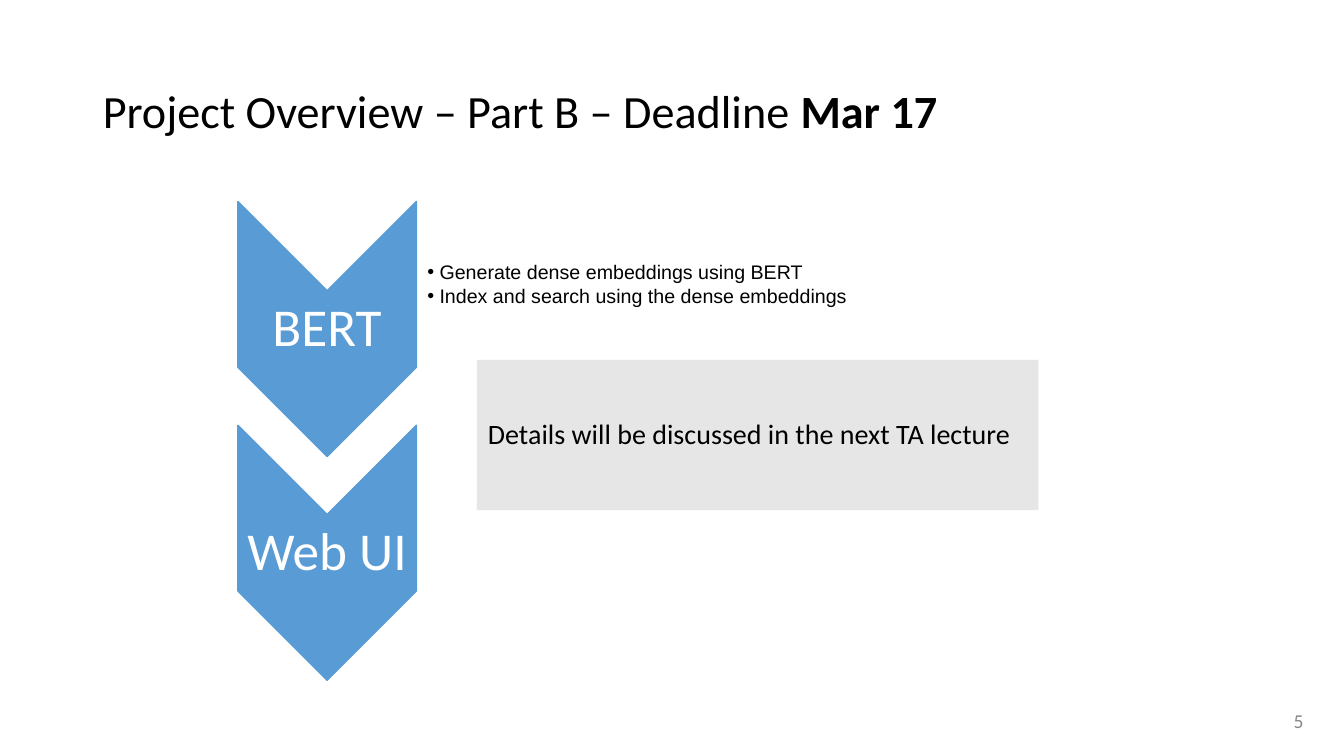
import dataclasses

import lxml.etree
import pptx
import pptx.dml.color
import pptx.enum.shapes
import pptx.enum.text
import pptx.oxml.ns
import pptx.util

ALIGN = pptx.enum.text.PP_ALIGN
BLACK, WHITE, BLUE, PALE_GRAY, GRAY = "000000", "FFFFFF", "599BD5", "E7E6E6", "888888"
SLIDE_WIDTH = pptx.util.Inches(13.33)
SLIDE_HEIGHT = pptx.util.Inches(7.5)
STAGE_STEP = 29.6
BULLET_INDENT = pptx.util.Inches(0.12)
TIGHT_MARGINS = (0.11, 0.01, 0.01, 0.01)
LABEL_MARGINS = (0.03, 0.03, 0.03, 0.03)


@dataclasses.dataclass(frozen=True)
class Frame:
    """A rectangle in percent of the slide's width and height."""
    left: float
    top: float
    width: float
    height: float

    def lengths(self) -> tuple[int, int, int, int]:
        return (round(SLIDE_WIDTH * self.left / 100), round(SLIDE_HEIGHT * self.top / 100),
                round(SLIDE_WIDTH * self.width / 100), round(SLIDE_HEIGHT * self.height / 100))

    def moved_down(self, distance: float) -> "Frame":
        return dataclasses.replace(self, top=self.top + distance)

    def centred(self, width: float, height: float) -> "Frame":
        return Frame(self.left + (self.width - width) / 2,
                     self.top + (self.height - height) / 2, width, height)


@dataclasses.dataclass(frozen=True)
class Run:
    text: str
    bold: bool = False


TITLE_FRAME = Frame(6.9, 5.33, 86.27, 19.33)
NUMBER_FRAME = Frame(75.24, 92.67, 22.5, 5.33)
CHEVRON_FRAME = Frame(14.85, 31.73, 18.98, 23.6)
TASKS_FRAME = Frame(30.98, 27.73, 50.79, 19.87)
NOTE_FRAME = Frame(35.48, 47.6, 41.79, 19.87)

TITLE = [Run("Project Overview – Part B – Deadline "), Run("Mar 17", bold=True)]
STAGES = ["BERT", "Web UI"]
TASKS = ["Generate dense embeddings using BERT",
         "Index and search using the dense embeddings"]
NOTE = "Details will be discussed in the next TA lecture"


def colour(hex_value: str) -> pptx.dml.color.RGBColor:
    return pptx.dml.color.RGBColor.from_string(hex_value)


def place(shape, frame: Frame) -> None:
    shape.left, shape.top, shape.width, shape.height = frame.lengths()


def add_bullet(paragraph) -> None:
    properties = paragraph._p.get_or_add_pPr()
    properties.set("marL", str(BULLET_INDENT))
    properties.set("indent", str(-BULLET_INDENT))
    for tag, name, value in (("a:buFont", "typeface", "Arial"), ("a:buChar", "char", "•")):
        element = lxml.etree.SubElement(properties, pptx.oxml.ns.qn(tag))
        element.set(name, value)


def write_text(shape, paragraphs: list[list[Run]], *, size: float, font: str = "Calibri",
               text_colour: str = BLACK, align=ALIGN.LEFT, line_spacing: float = 0.9,
               space_before: float = 0, bulleted: bool = False,
               margins: tuple[float, ...] = (0.1, 0.05, 0.1, 0.05)) -> None:
    """Fill the shape; space_before applies from the second paragraph on."""
    text_frame = shape.text_frame
    text_frame.word_wrap = True
    text_frame.auto_size = pptx.enum.text.MSO_AUTO_SIZE.NONE
    text_frame.vertical_anchor = pptx.enum.text.MSO_ANCHOR.MIDDLE
    (text_frame.margin_left, text_frame.margin_top, text_frame.margin_right,
     text_frame.margin_bottom) = map(pptx.util.Inches, margins)
    for index, runs in enumerate(paragraphs):
        paragraph = text_frame.add_paragraph() if index else text_frame.paragraphs[0]
        if bulleted:
            add_bullet(paragraph)
        paragraph.alignment = align
        paragraph.line_spacing = line_spacing
        paragraph.space_before = pptx.util.Pt(space_before if index else 0)
        for part in runs:
            run = paragraph.add_run()
            run.text = part.text
            run.font.name = font
            run.font.size = pptx.util.Pt(size)
            run.font.bold = part.bold
            run.font.color.rgb = colour(text_colour)


def add_filled_shape(slide, kind, frame: Frame, fill: str):
    shape = slide.shapes.add_shape(kind, *frame.lengths())
    shape.shadow.inherit = False
    shape.fill.solid()
    shape.fill.fore_color.rgb = colour(fill)
    shape.line.fill.background()
    return shape


def add_stage(slide, name: str, frame: Frame) -> None:
    """Draw a downward chevron with its label upright over the middle."""
    chevron = add_filled_shape(slide, pptx.enum.shapes.MSO_SHAPE.CHEVRON, frame, BLUE)
    chevron.rotation = 90
    chevron.line.color.rgb = colour(BLUE)
    chevron.line.width = pptx.util.Pt(1)
    label = slide.shapes.add_textbox(*frame.centred(13.28, 10.13).lengths())
    write_text(label, [[Run(name)]], size=38, text_colour=WHITE, align=ALIGN.CENTER,
               margins=LABEL_MARGINS)


def main() -> None:
    presentation = pptx.Presentation()
    presentation.slide_width = SLIDE_WIDTH
    presentation.slide_height = SLIDE_HEIGHT
    slide = presentation.slides.add_slide(presentation.slide_layouts[1])

    title, tasks = slide.placeholders
    place(title, TITLE_FRAME)
    write_text(title, [TITLE], size=33)
    place(tasks, TASKS_FRAME)
    write_text(tasks, [[Run(task)] for task in TASKS], size=14, font="Arial",
               space_before=2.1, bulleted=True, margins=TIGHT_MARGINS)

    for index, stage in enumerate(STAGES):
        add_stage(slide, stage, CHEVRON_FRAME.moved_down(index * STAGE_STEP))

    note = add_filled_shape(slide, pptx.enum.shapes.MSO_SHAPE.RECTANGLE, NOTE_FRAME, PALE_GRAY)
    write_text(note, [[Run(NOTE)]], size=20, margins=TIGHT_MARGINS)

    number = slide.shapes.add_textbox(*NUMBER_FRAME.lengths())
    write_text(number, [[Run("5")]], size=14, text_colour=GRAY, align=ALIGN.RIGHT,
               line_spacing=1)
    presentation.save("out.pptx")


if __name__ == "__main__":
    main()
